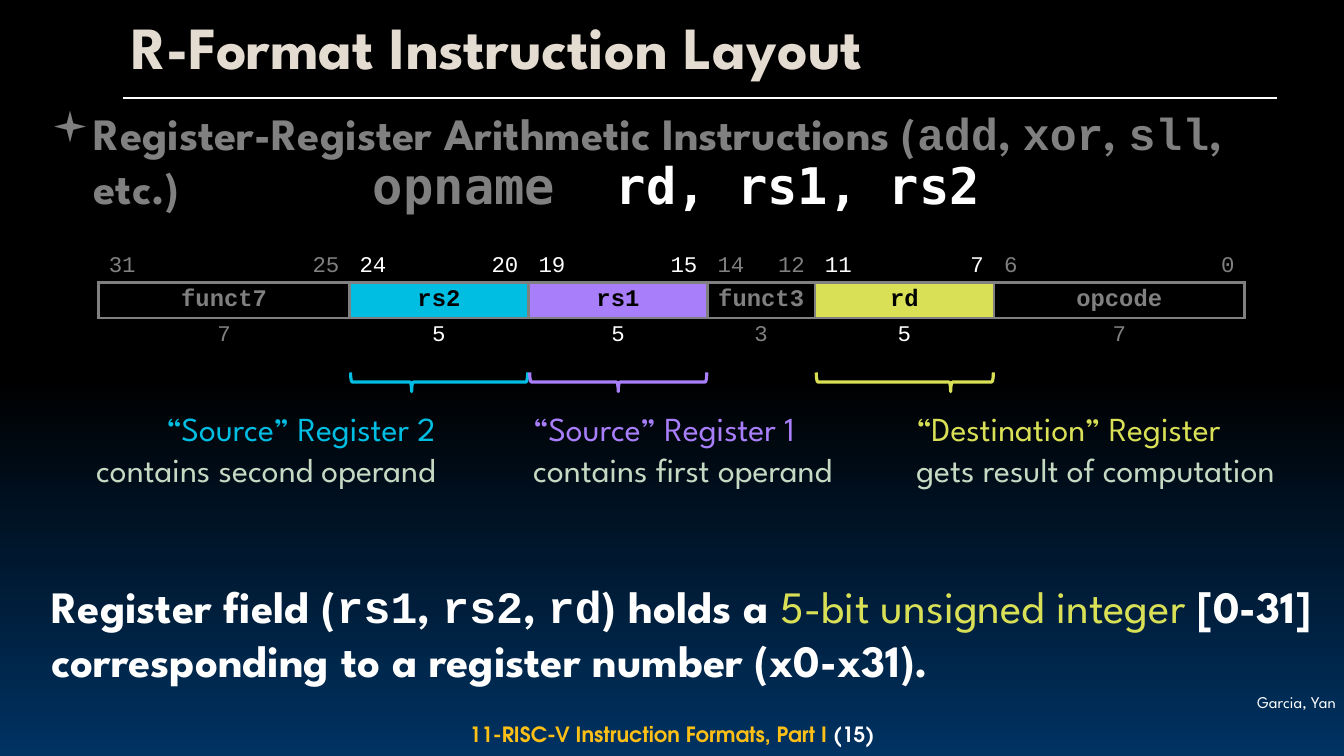
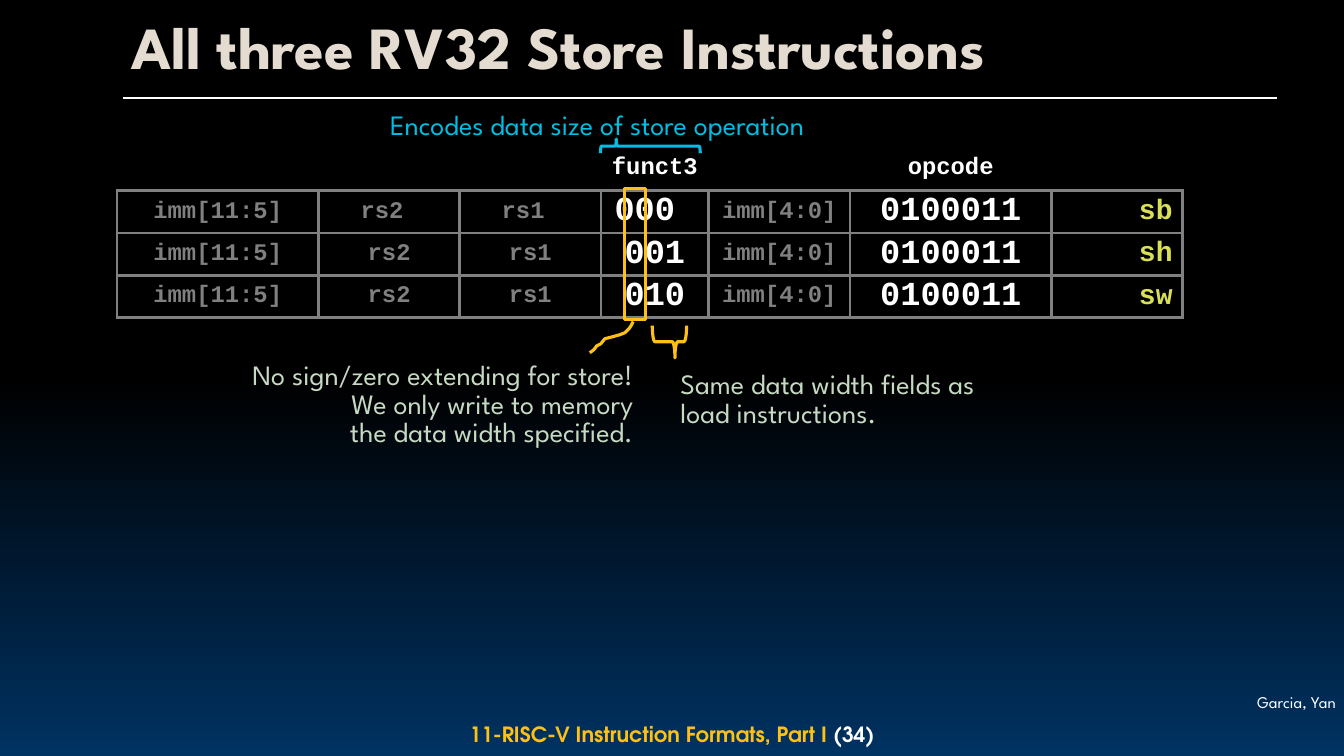
import lxml.etree
import pptx
import pptx.dml.color
import pptx.enum.shapes
import pptx.enum.text
import pptx.oxml.ns
import pptx.util

Inches = pptx.util.Inches
Pt = pptx.util.Pt
qn = pptx.oxml.ns.qn
ALIGN = pptx.enum.text.PP_ALIGN
ANCHOR = pptx.enum.text.MSO_ANCHOR
SHAPE = pptx.enum.shapes.MSO_SHAPE

SANS, MONO, CODE = "League Spartan", "Courier New", "DejaVu Sans Mono"
FOOTER_FONT, BULLET_FONT = "TeX Gyre Adventor", "Wingdings"
BLACK, WHITE, GREY, NAVY = "000000", "FFFFFF", "808080", "003262"
CREAM, SAGE, GOLD = "E5DCD1", "C6DAC3", "FEC016"
CYAN, PURPLE, LIME = "00BDE2", "A97EFA", "D9E056"
RULE_WIDTH = 2.25

# Content: slide 1
FIELDS_LEFT = 0.98
BIT_WIDTH = 11.37 / 32
# How many bits wide each table column of a field is
FIELD_COLUMNS = {7: [2, 1, 1, 1, 2], 5: [2, 1, 2], 3: [1.5, 1.5]}
# name, high bit, low bit, fill, position of the brace point
FIELDS = [
    ("funct7", 31, 25, None, None),
    ("rs2", 24, 20, CYAN, 0.345),
    ("rs1", 19, 15, PURPLE, 0.5),
    ("funct3", 14, 12, None, None),
    ("rd", 11, 7, LIME, 0.759),
    ("opcode", 6, 0, None, None),
]
# left, width, alignment, heading, colour, explanation
REGISTER_LABELS = [
    (0.58, 3.84, ALIGN.RIGHT, "“Source” Register 2", CYAN, "contains second operand"),
    (5.19, 3.44, ALIGN.LEFT, "“Source” Register 1", PURPLE, "contains first operand"),
    (8.99, 4, ALIGN.LEFT, "“Destination” Register", LIME, "gets result of computation"),
]
IN_MONO = {"name": MONO}
ARITHMETIC = [
    "Register-Register Arithmetic Instructions (", ("add", IN_MONO), ", ",
    ("xor", IN_MONO), ", ", ("sll", IN_MONO), ", etc.)",
]
SYNTAX = [("opname  ", {"colour": GREY}), ("rd, rs1, rs2", {"colour": WHITE})]
REGISTER_FIELD = [
    "Register field (", ("rs1", IN_MONO), ", ", ("rs2", IN_MONO), ", ",
    ("rd", IN_MONO), ") holds a ",
    ("5-bit unsigned integer ", {"colour": LIME, "bold": False}),
    "[0-31] corresponding to a register number (x0-x31).",
]

# Content: slide 2
STORE_COLUMNS = [2, 1.4, 1.4, 1.07, 1.4, 2, 1.3]
STORE_ROWS = [
    ["", "", "", "funct3", "", "opcode", ""],
    ["imm[11:5]", "rs2 ", "rs1 ", "000 ", "imm[4:0]", "0100011", "sb"],
    ["imm[11:5]", "rs2", "rs1", "001", "imm[4:0]", "0100011", "sh"],
    ["imm[11:5]", "rs2", "rs1", "010", "imm[4:0]", "0100011", "sw"],
]
STORE_STYLES = {3: (24, WHITE), 5: (24, WHITE), 6: (20, LIME)}
NO_EXTENDING = ["No sign/zero extending for store!", "We only write to memory",
                "the data width specified."]
SQUIGGLE = [(6.28, 3.19), (6.26, 3.23), (6.24, 3.26), (6.2, 3.3), (6.15, 3.32),
            (6.08, 3.34), (6, 3.36), (5.96, 3.41), (5.92, 3.43), (5.89, 3.47),
            (5.85, 3.5)]


# Text
def rgb(colour):
    return pptx.dml.color.RGBColor.from_string(colour)


def style(font, size=None, colour=None, name=None, bold=None):
    if size is not None:
        font.size = Pt(size)
    if colour is not None:
        font.color.rgb = rgb(colour)
    if name is not None:
        font.name = name
    if bold is not None:
        font.bold = bold


def write(para, spans, size, colour, name=SANS, bold=False,
          align=ALIGN.LEFT, spacing=None):
    """Spans are a string, or a list of strings and (string, overrides) pairs."""
    para.alignment = align
    if spacing:
        para.line_spacing = spacing
    style(para.font, size, colour, name, bold)
    for span in [spans] if isinstance(spans, str) else spans:
        text, overrides = (span, {}) if isinstance(span, str) else span
        run = para.add_run()
        run.text = text
        style(run.font, **overrides)


def add_text(page, left, top, width, height, lines, anchor=ANCHOR.TOP):
    """Each line is (spans, dict of paragraph settings)."""
    box = page.shapes.add_textbox(Inches(left), Inches(top), Inches(width), Inches(height))
    frame = box.text_frame
    frame.word_wrap = True
    frame.vertical_anchor = anchor
    for index, (spans, settings) in enumerate(lines):
        para = frame.add_paragraph() if index else frame.paragraphs[0]
        write(para, spans, **settings)
    return box


def add_bullet(para, mark, margin, hang):
    properties = para._p.get_or_add_pPr()
    properties.set("marL", str(Inches(margin)))
    properties.set("indent", str(Inches(-hang)))
    font = properties.find(qn("a:defRPr"))
    for tag, name, value in (("a:buSzPct", "val", "95000"),
                             ("a:buFont", "typeface", BULLET_FONT),
                             ("a:buChar", "char", mark)):
        font.addprevious(lxml.etree.Element(qn(tag), {name: value}))


# Outlines and tables
def outline(shape, colour):
    shape.shadow.inherit = False
    shape.fill.background()
    shape.line.color.rgb = rgb(colour)
    shape.line.width = Pt(RULE_WIDTH)


def add_brace(page, centre_x, centre_y, span, depth, point, colour, rotation=270):
    brace = page.shapes.add_shape(
        SHAPE.LEFT_BRACE, Inches(centre_x - depth / 2), Inches(centre_y - span / 2),
        Inches(depth), Inches(span))
    brace.rotation = rotation
    brace.adjustments[1] = point
    outline(brace, colour)


def add_grid(page, left, top, widths, heights):
    table = page.shapes.add_table(
        len(heights), len(widths), Inches(left), Inches(top),
        Inches(sum(widths)), Inches(sum(heights))).table
    table.first_row = table.horz_banding = False
    for column, width in zip(table.columns, widths):
        column.width = Inches(width)
    for row, height in zip(table.rows, heights):
        row.height = Inches(height)
    return table


def format_cell(cell, ruled_sides, fill=None):
    properties = cell._tc.get_or_add_tcPr()
    for side in "LRTB":
        ruled = side in ruled_sides
        width = str(Pt(RULE_WIDTH) if ruled else 0)
        rule = lxml.etree.SubElement(properties, qn("a:ln" + side), w=width)
        if ruled:
            solid = lxml.etree.SubElement(rule, qn("a:solidFill"))
            lxml.etree.SubElement(solid, qn("a:srgbClr"), val=GREY)
        else:
            lxml.etree.SubElement(rule, qn("a:noFill"))
    if fill:
        cell.fill.solid()
        cell.fill.fore_color.rgb = rgb(fill)
    else:
        cell.fill.background()


# Shared look
def set_background(deck):
    fill = deck.slide_master.background.fill
    fill.gradient()
    fill.gradient_angle = 270
    for stop, position, colour in zip(fill.gradient_stops, (0.5, 1), (BLACK, NAVY)):
        stop.position = position
        stop.color.rgb = rgb(colour)


def add_page(deck, title, number):
    page = deck.slides.add_slide(deck.slide_layouts[5])
    heading = page.shapes.title
    heading.left, heading.top = Inches(1.2), Inches(0.08)
    heading.width, heading.height = Inches(11.49), Inches(0.84)
    heading.text_frame.vertical_anchor = ANCHOR.MIDDLE
    write(heading.text_frame.paragraphs[0], title, 42.7, CREAM, bold=True, spacing=0.9)

    rule = page.shapes.add_connector(
        pptx.enum.shapes.MSO_CONNECTOR.STRAIGHT,
        Inches(1.22), Inches(0.97), Inches(12.67), Inches(0.97))
    rule.line.color.rgb = rgb(WHITE)
    rule.line.width = Pt(1.5)
    lxml.etree.SubElement(rule._element.spPr, qn("a:effectLst"))

    authors = add_text(page, 11.89, 6.84, 1.44, 0.26, [
        ("Garcia, Yan", dict(size=11.7, colour=WHITE, align=ALIGN.RIGHT))])
    frame = authors.text_frame
    frame.margin_left = frame.margin_right = Inches(0.08)
    frame.margin_top = frame.margin_bottom = Inches(0.03)

    footer = ["11-RISC-V Instruction Formats, Part I ", (f"({number})", {"colour": WHITE})]
    add_text(page, 2.45, 7.12, 8.43, 0.32, [
        (footer, dict(size=15, colour=GOLD, name=FOOTER_FONT, bold=True,
                      align=ALIGN.CENTER))], ANCHOR.MIDDLE)
    return page


# Slide 1
def add_fields(page):
    """Bit numbers stand in a field's outer columns; the rows below are merged."""
    bits = [high - low + 1 for _, high, low, _, _ in FIELDS]
    widths = [part * BIT_WIDTH for count in bits for part in FIELD_COLUMNS[count]]
    table = add_grid(page, FIELDS_LEFT, 2.43, widths, [0.37, 0.35, 0.35])
    left, first = FIELDS_LEFT, 0
    for count, (name, high, low, fill, point) in zip(bits, FIELDS):
        last = first + len(FIELD_COLUMNS[count]) - 1
        for row, (sides, row_fill) in enumerate((("B", None), ("LRTB", fill), ("T", None))):
            for column in range(first, last + 1):
                cell = table.cell(row, column)
                format_cell(cell, sides, row_fill)
                cell.vertical_anchor = ANCHOR.TOP if row else ANCHOR.BOTTOM
                if row == 0 and first < column < last:
                    cell.margin_top = cell.margin_bottom = 0
            if row:
                table.cell(row, first).merge(table.cell(row, last))
        numbers = dict(size=16, colour=WHITE if fill else GREY, name=MONO)
        labels = dict(size=17, colour=BLACK if fill else GREY, name=MONO, bold=True)
        for row, column, text, align, settings in (
                (0, first, str(high), ALIGN.LEFT, numbers),
                (0, last, str(low), ALIGN.RIGHT, numbers),
                (1, first, name, ALIGN.CENTER, labels),
                (2, first, str(count), ALIGN.CENTER, numbers)):
            para = table.cell(row, column).text_frame.paragraphs[0]
            write(para, text, align=align, spacing=0.9, **settings)
        width = count * BIT_WIDTH
        if fill:
            add_brace(page, left + width / 2, 3.79, width - 0.02, 0.19, point, fill)
        left += width
        first = last + 1


def build_layout_page(deck):
    page = add_page(deck, "R-Format Instruction Layout", 15)
    add_text(page, 3.18, 1.48, 7.06, 0.71, [
        (SYNTAX, dict(size=36, colour=WHITE, name=CODE, bold=True, align=ALIGN.CENTER))])
    body = dict(size=32, bold=True)
    bullet = add_text(page, 0.32, 1, 12.84, 0.68, [(ARITHMETIC, dict(body, colour=GREY))])
    add_bullet(bullet.text_frame.paragraphs[0], "▪", 0.51, 0.42)
    add_text(page, 0.41, 5.69, 12.75, 0.81, [(REGISTER_FIELD, dict(body, colour=WHITE))])
    add_fields(page)
    for left, width, align, heading, colour, explanation in REGISTER_LABELS:
        add_text(page, left, 4, width, 0.91, [
            (heading, dict(size=24, colour=colour, align=align)),
            (explanation, dict(size=24, colour=SAGE, align=align))])


# Slide 2
def add_stores(page):
    table = add_grid(page, 1.16, 1.51, STORE_COLUMNS, [0.38] + [0.42] * 3)
    for row, texts in enumerate(STORE_ROWS):
        for column, text in enumerate(texts):
            cell = table.cell(row, column)
            format_cell(cell, "LRTB" if row else "B")
            if not text:
                cell.margin_top = cell.margin_bottom = 0
                continue
            size, colour = STORE_STYLES.get(column, (17, GREY)) if row else (17, WHITE)
            last = column == len(texts) - 1
            cell.vertical_anchor = ANCHOR.MIDDLE if row else ANCHOR.TOP
            write(cell.text_frame.paragraphs[0], text, size, colour, MONO, True,
                  ALIGN.RIGHT if last else ALIGN.CENTER, 0.8)


def build_store_page(deck):
    page = add_page(deck, "All three RV32 Store Instructions", 34)
    add_stores(page)
    note = dict(size=20, colour=SAGE, spacing=0.85)
    add_text(page, 2.23, 3.55, 4.15, 0.96,
             [(line, dict(note, align=ALIGN.RIGHT)) for line in NO_EXTENDING])
    add_text(page, 6.65, 3.64, 3.49, 0.68,
             [("Same data width fields as load instructions.", note)])
    add_text(page, 3.77, 1.02, 4.69, 0.44,
             [("Encodes data size of store operation", dict(size=20, colour=CYAN))])
    add_brace(page, 6.45, 1.45, 0.99, 0.14, 0.841, CYAN, rotation=90)
    add_brace(page, 6.64, 3.39, 0.34, 0.32, 0.661, GOLD)
    top_bit = page.shapes.add_shape(
        SHAPE.RECTANGLE, Inches(6.19), Inches(1.87), Inches(0.21), Inches(1.3))
    outline(top_bit, GOLD)
    points = [(Inches(x), Inches(y)) for x, y in SQUIGGLE]
    builder = page.shapes.build_freeform(*points[0])
    builder.add_line_segments(points[1:], close=False)
    outline(builder.convert_to_shape(), GOLD)


def main():
    deck = pptx.Presentation()
    deck.slide_width, deck.slide_height = Inches(13.33), Inches(7.5)
    set_background(deck)
    build_layout_page(deck)
    build_store_page(deck)
    deck.save("out.pptx")


if __name__ == "__main__":
    main()
